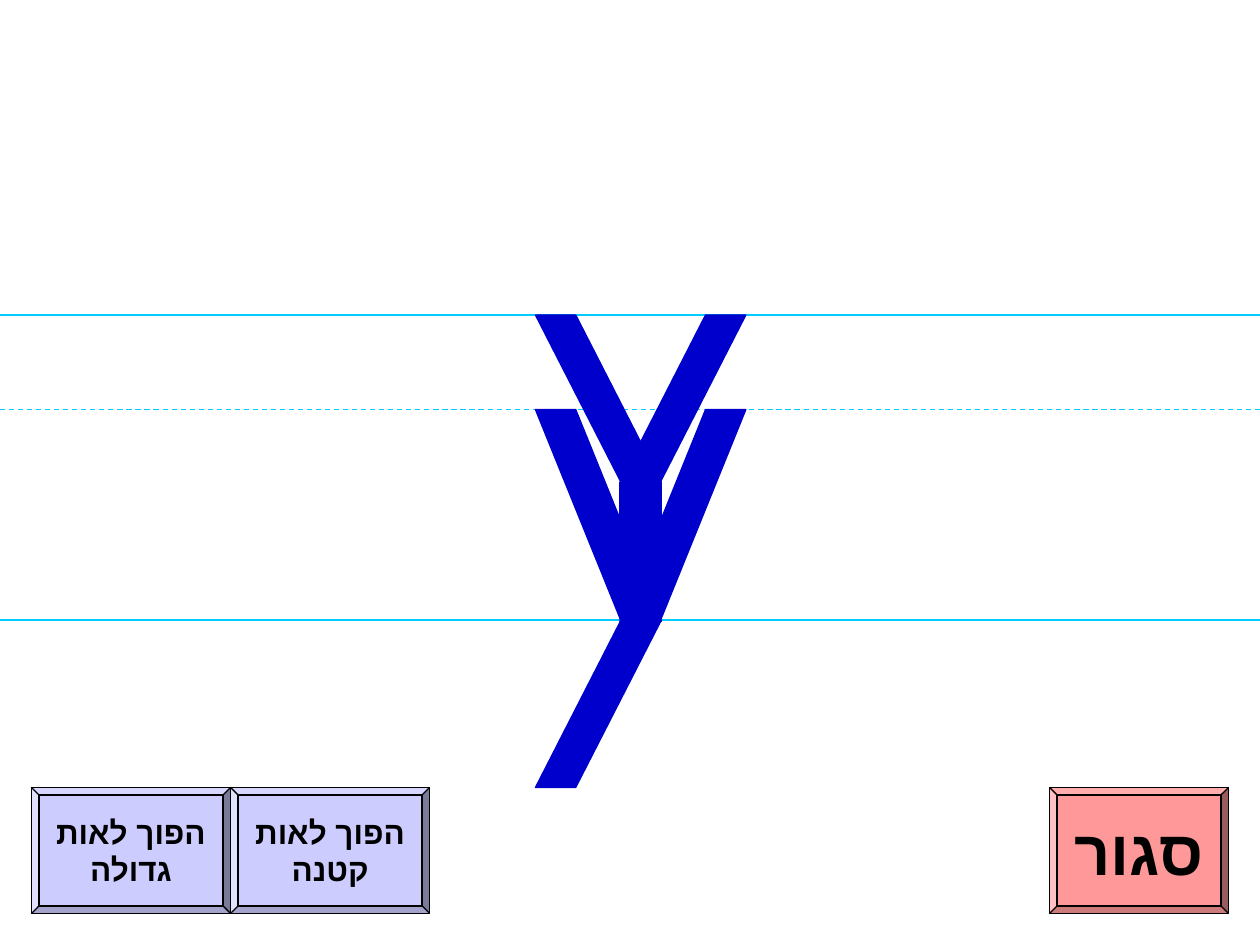
from dataclasses import dataclass
from lxml import etree
from pptx import Presentation
from pptx.dml.color import RGBColor
from pptx.enum import dml, shapes, text
from pptx.oxml.ns import qn
from pptx.util import Inches, Pt

COLORS = {"ink": "0000CC", "guide": "00CCFF", "close": "FF9999",
          "switch": "CCCCFF", "black": "000000"}
FONT = "Arial"
LINE_WIDTH = Pt(0.74)
LETTER_LEFT, ARM_WIDTH, ARM_STEP = 4.25, 1, 0.67
TOP_LINE, MIDDLE_LINE, BASE_LINE = 2.5, 3.25, 4.92
BUTTON_TOP, BUTTON_HEIGHT = 6.25, 1


@dataclass
class Guide:
    y: float
    dashed: bool = False


@dataclass
class Button:
    left: float
    width: float
    fill: str
    lines: list[str]
    size: int


GUIDES = [Guide(MIDDLE_LINE, True), Guide(TOP_LINE), Guide(BASE_LINE)]
BUTTONS = [
    Button(8.33, 1.42, "close", ["סגור"], 36),
    Button(0.25, 1.58, "switch", ["הפוך לאות", "גדולה"], 18),
    Button(1.83, 1.58, "switch", ["הפוך לאות", "קטנה"], 18),
]


def rgb(name: str) -> RGBColor:
    return RGBColor.from_string(COLORS[name])


def add_block(parent, kind, left: float, top: float, width: float,
              height: float, fill: str = "ink", line: str = "ink"):
    sp = parent.add_shape(kind, Inches(left), Inches(top),
                          Inches(width), Inches(height))
    sp.shadow.inherit = False
    sp.fill.solid()
    sp.fill.fore_color.rgb = rgb(fill)
    sp.line.color.rgb = rgb(line)
    sp.line.width = LINE_WIDTH
    return sp


def add_stroke(parent, left: float, top: float, height: float,
               flip: bool = False) -> None:
    sp = add_block(parent, shapes.MSO_SHAPE.PARALLELOGRAM,
                   left, top, ARM_WIDTH, height)
    sp.adjustments[0] = 0.68
    if flip:
        sp._element.spPr.find(qn("a:xfrm")).set("flipH", "1")


def add_arms(parent, top: float, height: float) -> None:
    group = parent.add_group_shape()
    add_stroke(group.shapes, LETTER_LEFT, top, height, flip=True)
    add_stroke(group.shapes, LETTER_LEFT + ARM_STEP, top, height)


def add_guide(parent, guide: Guide) -> None:
    y = Inches(guide.y)
    line = parent.add_connector(shapes.MSO_CONNECTOR.STRAIGHT,
                                0, y, Inches(10.33), y)
    line.line.color.rgb = rgb("guide")
    line.line.width = LINE_WIDTH
    if guide.dashed:
        line.line.dash_style = dml.MSO_LINE.DASH
    etree.SubElement(line._element.spPr, qn("a:effectLst"))


def write_line(p, value: str, *, size: int, color: str = "black",
               bold: bool = True) -> None:
    p.alignment = text.PP_ALIGN.CENTER
    p._p.get_or_add_pPr().set("rtl", "1")
    r = p.add_run()
    r.text = value
    r.font.name = FONT
    r.font.size = Pt(size)
    r.font.bold = bold
    r.font.color.rgb = rgb(color)
    etree.SubElement(r._r.get_or_add_rPr(), qn("a:cs"), typeface=FONT)


def add_button(parent, button: Button) -> None:
    sp = add_block(parent, shapes.MSO_SHAPE.BEVEL, button.left, BUTTON_TOP,
                   button.width, BUTTON_HEIGHT, button.fill, "black")
    sp.adjustments[0] = 0.06
    tf = sp.text_frame
    tf.word_wrap = False
    tf.vertical_anchor = text.MSO_ANCHOR.MIDDLE
    for i, value in enumerate(button.lines):
        p = tf.add_paragraph() if i else tf.paragraphs[0]
        write_line(p, value, size=button.size)


prs = Presentation()
prs.slide_width, prs.slide_height = Inches(10), Inches(7.5)
s = prs.slides.add_slide(prs.slide_layouts[6])
for guide in GUIDES:
    add_guide(s.shapes, guide)
add_block(s.shapes, shapes.MSO_SHAPE.RECTANGLE, LETTER_LEFT + ARM_STEP, 3.83, 0.33, 1.08)
add_arms(s.shapes, TOP_LINE, 1.33)
add_stroke(s.shapes, LETTER_LEFT, BASE_LINE, 1.33)
for button in BUTTONS:
    add_button(s.shapes, button)
add_arms(s.shapes, MIDDLE_LINE, 1.68)
prs.save("out.pptx")
